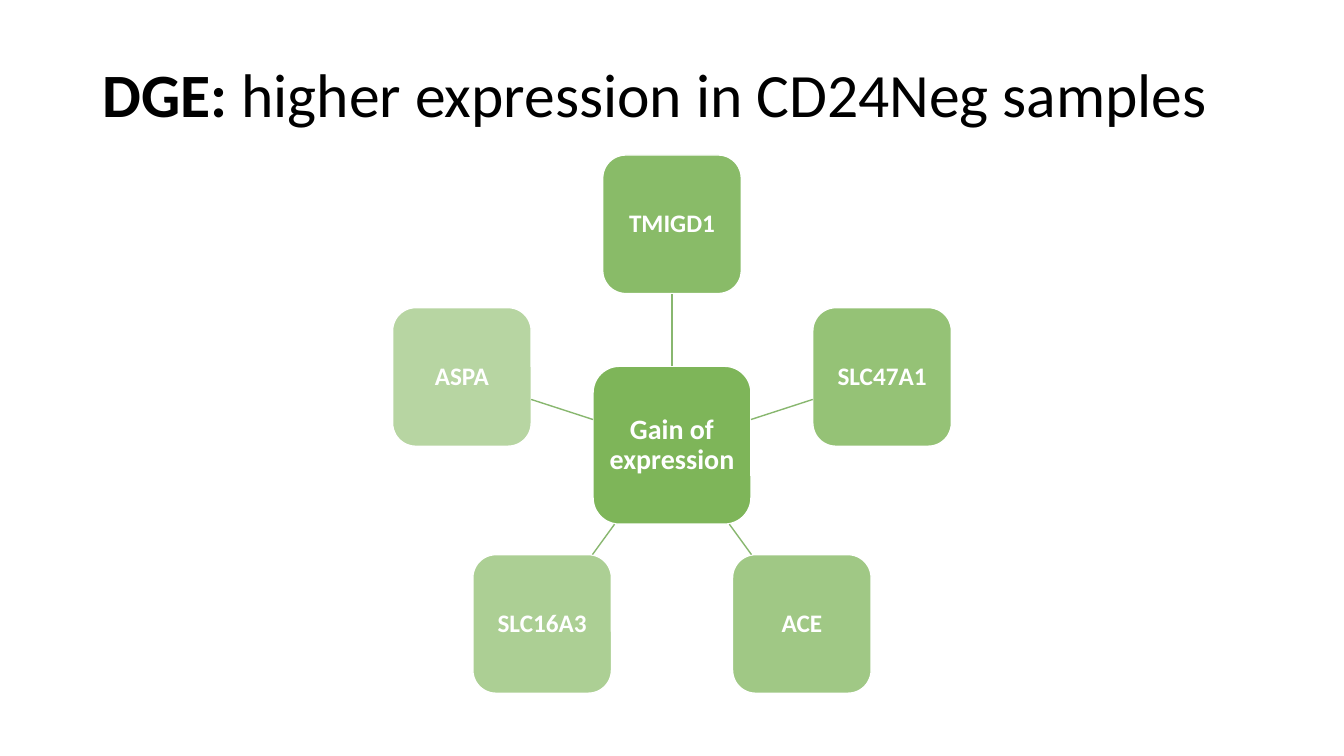
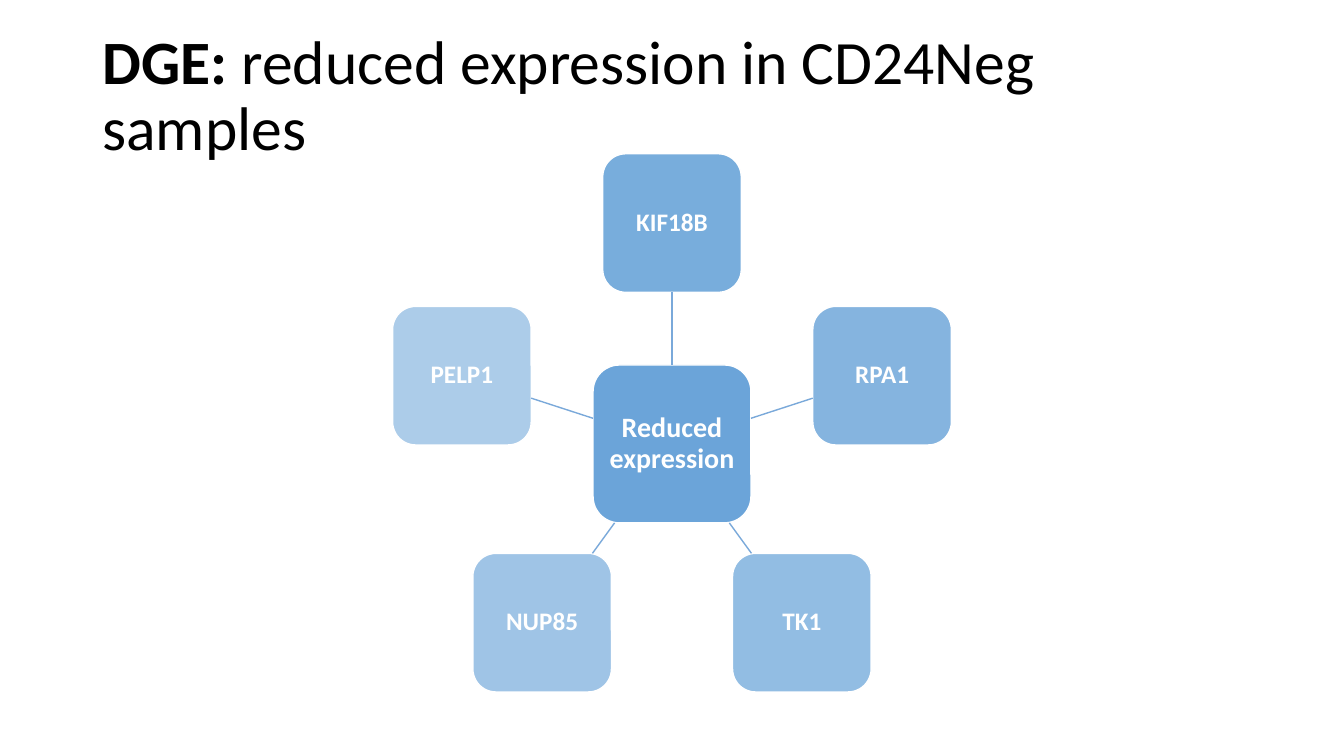
from math import cos, radians, sin

from lxml.etree import SubElement
from pptx import Presentation
from pptx.dml.color import RGBColor
from pptx.enum.shapes import MSO_CONNECTOR as Link, MSO_SHAPE as Shape
from pptx.enum.text import MSO_ANCHOR as Anchor, PP_ALIGN as Align
from pptx.oxml.ns import qn
from pptx.util import Inches, Pt

BLACK = RGBColor(0x00, 0x00, 0x00)
WHITE = RGBColor(0xFF, 0xFF, 0xFF)
GREEN = RGBColor(0x70, 0xAD, 0x47)
MOSS = RGBColor(0x88, 0xB7, 0x6F)
BLUE = RGBColor(0x5B, 0x9B, 0xD5)
SKY = RGBColor(0x7A, 0xA9, 0xDA)

COLS, ROWS = 160, 90  # square cells, 12 to the inch
HUB, LEAF, REACH = 18.8, 16.5, 26.3


def cell(count):
    return Inches(count / 12)


class Deck:
    """Holds the style and the current slide; lengths are grid cells."""

    font = "Calibri"

    def __init__(self):
        self.prs = Presentation()
        self.prs.slide_width = cell(COLS)
        self.prs.slide_height = cell(ROWS)

    def page(self):
        self.slide = self.prs.slides.add_slide(self.prs.slide_layouts[6])

    def style(self, para, size, color):
        para.line_spacing = 0.9
        para.font.name = self.font
        para.font.size = Pt(size)
        para.font.color.rgb = color

    def title(self, lead, rest):
        box = self.slide.shapes.add_textbox(
            cell(11), cell(2.9), cell(138), cell(17.4))
        frame = box.text_frame
        frame.word_wrap = True
        frame.vertical_anchor = Anchor.MIDDLE
        para = frame.paragraphs[0]
        self.style(para, 44, BLACK)
        run = para.add_run()
        run.text = lead
        run.font.bold = True
        para.add_run().text = rest

    def tile(self, x, y, side, text, size, inset, fill, alpha):
        """Rounded square centred on x, y; alpha is its opacity in percent."""
        tile = self.slide.shapes.add_shape(
            Shape.ROUNDED_RECTANGLE, cell(x - side / 2), cell(y - side / 2),
            cell(side), cell(side))
        tile.shadow.inherit = False
        tile.fill.solid()
        tile.fill.fore_color.rgb = fill
        tint = tile._element.spPr.find(qn("a:solidFill"))[0]
        SubElement(tint, qn("a:alpha"), val=str(alpha * 1000))
        tile.line.color.rgb = WHITE
        tile.line.width = Pt(1)
        frame = tile.text_frame
        frame.word_wrap = True
        frame.vertical_anchor = Anchor.MIDDLE
        frame.margin_left = frame.margin_right = Inches(inset)
        frame.margin_top = frame.margin_bottom = Inches(inset)
        para = frame.paragraphs[0]
        para.text = text
        para.alignment = Align.CENTER
        para.font.bold = True
        self.style(para, size, WHITE)
        return tile

    def spoke(self, x1, y1, x2, y2, color):
        line = self.slide.shapes.add_connector(
            Link.STRAIGHT, cell(x1), cell(y1), cell(x2), cell(y2))
        line.line.color.rgb = color
        line.line.width = Pt(1)
        SubElement(line._element.spPr, qn("a:effectLst"))
        return line

    def wheel(self, y, label, genes, fill, edge):
        """Hub with genes around it, clockwise from the top, ever paler."""
        x = COLS / 2
        hub = self.tile(x, y, HUB, label, 20, 0.06, fill, 90)
        for i, gene in enumerate(genes):
            turn = radians(360 * i / len(genes))
            dx, dy = sin(turn), -cos(turn)
            leaf = self.tile(x + REACH * dx, y + REACH * dy, LEAF,
                             gene, 18, 0.05, fill, 82 - 8 * i)
            # the ray leaves a square where its longer component meets a side
            span = max(abs(dx), abs(dy))
            near = HUB / 2 / span
            far = REACH - LEAF / 2 / span
            line = self.spoke(x + near * dx, y + near * dy,
                              x + far * dx, y + far * dy, edge)
            if i == 0:
                line.begin_connect(hub, 0)
                line.end_connect(leaf, 2)


PAGES = [
    (" higher expression in CD24Neg samples", 53, "Gain of expression",
     ["TMIGD1", "SLC47A1", "ACE", "SLC16A3", "ASPA"], GREEN, MOSS),
    (" reduced expression in CD24Neg samples", 52.85, "Reduced expression",
     ["KIF18B", "RPA1", "TK1", "NUP85", "PELP1"], BLUE, SKY),
]


def main():
    deck = Deck()
    for rest, *wheel in PAGES:
        deck.page()
        deck.title("DGE:", rest)
        deck.wheel(*wheel)
    deck.prs.save("out.pptx")


if __name__ == "__main__":
    main()
